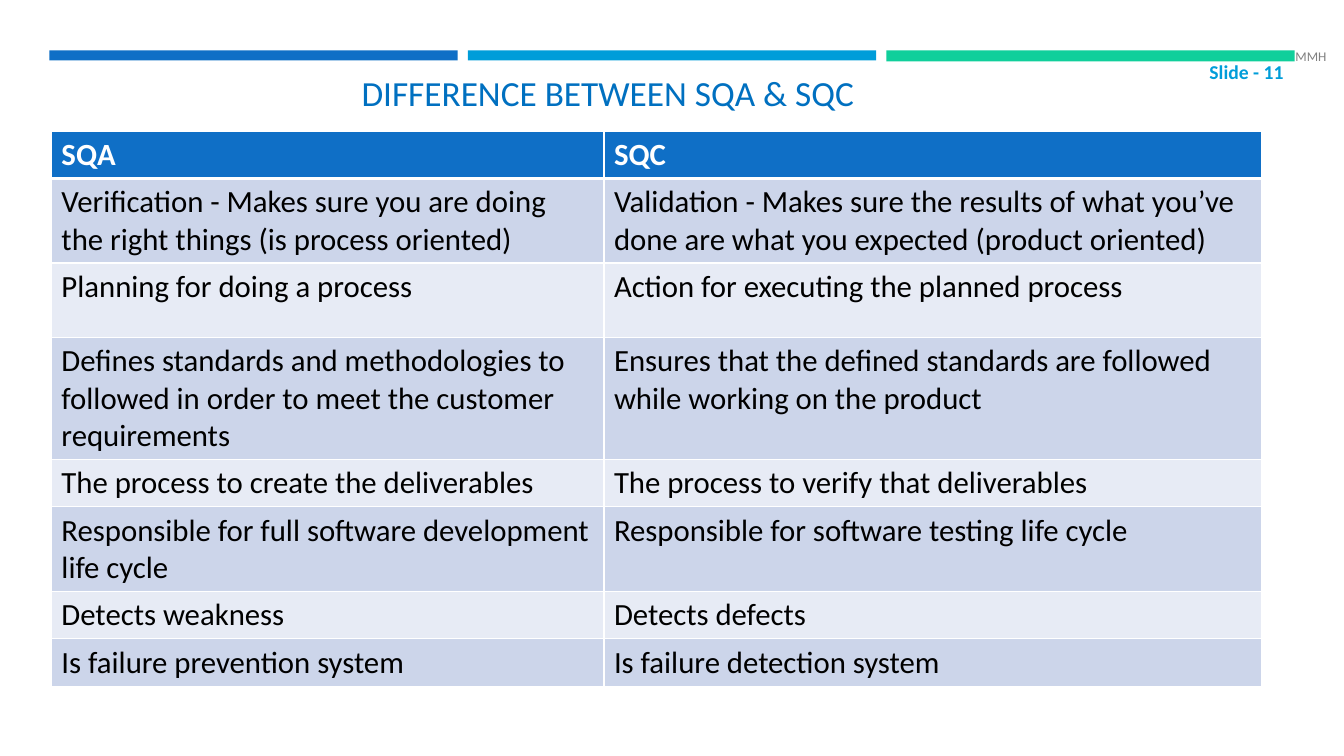
"""Builds the slide that compares SQA with SQC."""
from lxml.etree import SubElement
from pptx import Presentation
from pptx.dml.color import RGBColor
from pptx.enum.shapes import MSO_SHAPE
from pptx.enum.text import MSO_ANCHOR as Anchor, PP_ALIGN as Align
from pptx.oxml.ns import qn
from pptx.util import Inches, Pt

BLUE = RGBColor(0x0F, 0x6F, 0xC6)
CYAN = RGBColor(0x00, 0x9D, 0xD9)
GREEN = RGBColor(0x10, 0xCF, 0x9B)
TITLE_BLUE = RGBColor(0x00, 0x70, 0xC0)
GRAY = RGBColor(0x80, 0x80, 0x80)
DARK_BAND = RGBColor(0xCC, 0xD5, 0xEA)
LIGHT_BAND = RGBColor(0xE7, 0xEB, 0xF5)
WHITE = RGBColor(0xFF, 0xFF, 0xFF)
BLACK = RGBColor(0x00, 0x00, 0x00)


def write_text(frame, text, size, color, bold=False, align=Align.LEFT, anchor=Anchor.TOP):
    frame.word_wrap = True
    frame.vertical_anchor = anchor
    paragraph = frame.paragraphs[0]
    paragraph.alignment = align
    run = paragraph.add_run()
    run.text = text
    run.font.name = "Calibri"
    run.font.size = Pt(size)
    run.font.bold = bold
    run.font.color.rgb = color


def set_borders(cell, widths):
    properties = cell._tc.get_or_add_tcPr()
    for position, (side, width) in enumerate(widths.items()):
        line = SubElement(properties, qn(f"a:ln{side}"), w=str(Pt(width)))
        fill = SubElement(line, qn("a:solidFill"))
        SubElement(fill, qn("a:srgbClr"), val=str(WHITE))
        properties.insert(position, line)


presentation = Presentation()
presentation.slide_width = Inches(13.33)
presentation.slide_height = Inches(7.5)
slide = presentation.slides.add_slide(presentation.slide_layouts[6])

for index, (color, height) in enumerate([(BLUE, 0.1), (CYAN, 0.1), (GREEN, 0.11)]):
    bar = slide.shapes.add_shape(
        MSO_SHAPE.RECTANGLE, Inches(0.49 + 4.15 * index), Inches(0.5), Inches(4.05), Inches(height))
    bar.shadow.inherit = False
    bar.fill.solid()
    bar.fill.fore_color.rgb = color
    bar.line.fill.background()

labels = [
    ("Slide - 11", (11.75, 0.55, 1.08, 0.33),
     dict(size=14, color=CYAN, bold=True, align=Align.RIGHT, anchor=Anchor.MIDDLE)),
    ("DIFFERENCE BETWEEN SQA & SQC", (0, 0.69, 12.06, 0.49),
     dict(size=25.2, color=TITLE_BLUE, align=Align.CENTER, anchor=Anchor.BOTTOM)),
    ("MMH", (12.75, 0.41, 0.58, 0.3), dict(size=9.5, color=GRAY, anchor=Anchor.MIDDLE)),
]
for text, box, text_format in labels:
    label = slide.shapes.add_textbox(*map(Inches, box))
    write_text(label.text_frame, text, **text_format)

rows = [
    ("SQA", "SQC"),
    ("Verification - Makes sure you are doing the right things (is process oriented)",
     "Validation - Makes sure the results of what you’ve done are what you expected (product oriented)"),
    ("Planning for doing a process", "Action for executing the planned process"),
    ("Defines standards and methodologies to followed in order to meet the customer requirements",
     "Ensures that the defined standards are followed while working on the product"),
    ("The process to create the deliverables", "The process to verify that deliverables"),
    ("Responsible for full software development life cycle",
     "Responsible for software testing life cycle"),
    ("Detects weakness", "Detects defects"),
    ("Is failure prevention system", "Is failure detection system"),
]
row_heights = [0.47, 0.84, 0.74, 1.21, 0.47, 0.84, 0.47, 0.47]
table = slide.shapes.add_table(
    len(rows), 2, Inches(0.51), Inches(1.3), Inches(12), Inches(sum(row_heights))).table
for column, width in zip(table.columns, (5.48, 6.52)):
    column.width = Inches(width)
for row_index, (texts, height) in enumerate(zip(rows, row_heights)):
    table.rows[row_index].height = Inches(height)
    header = row_index == 0
    band = BLUE if header else DARK_BAND if row_index % 2 else LIGHT_BAND
    for column_index, text in enumerate(texts):
        cell = table.cell(row_index, column_index)
        cell.fill.solid()
        cell.fill.fore_color.rgb = band
        write_text(cell.text_frame, text, size=22, color=WHITE if header else BLACK, bold=header)
        set_borders(cell, {"L": 1, "R": 1, "T": 3 if row_index == 1 else 1, "B": 3 if header else 1})

presentation.save("out.pptx")
